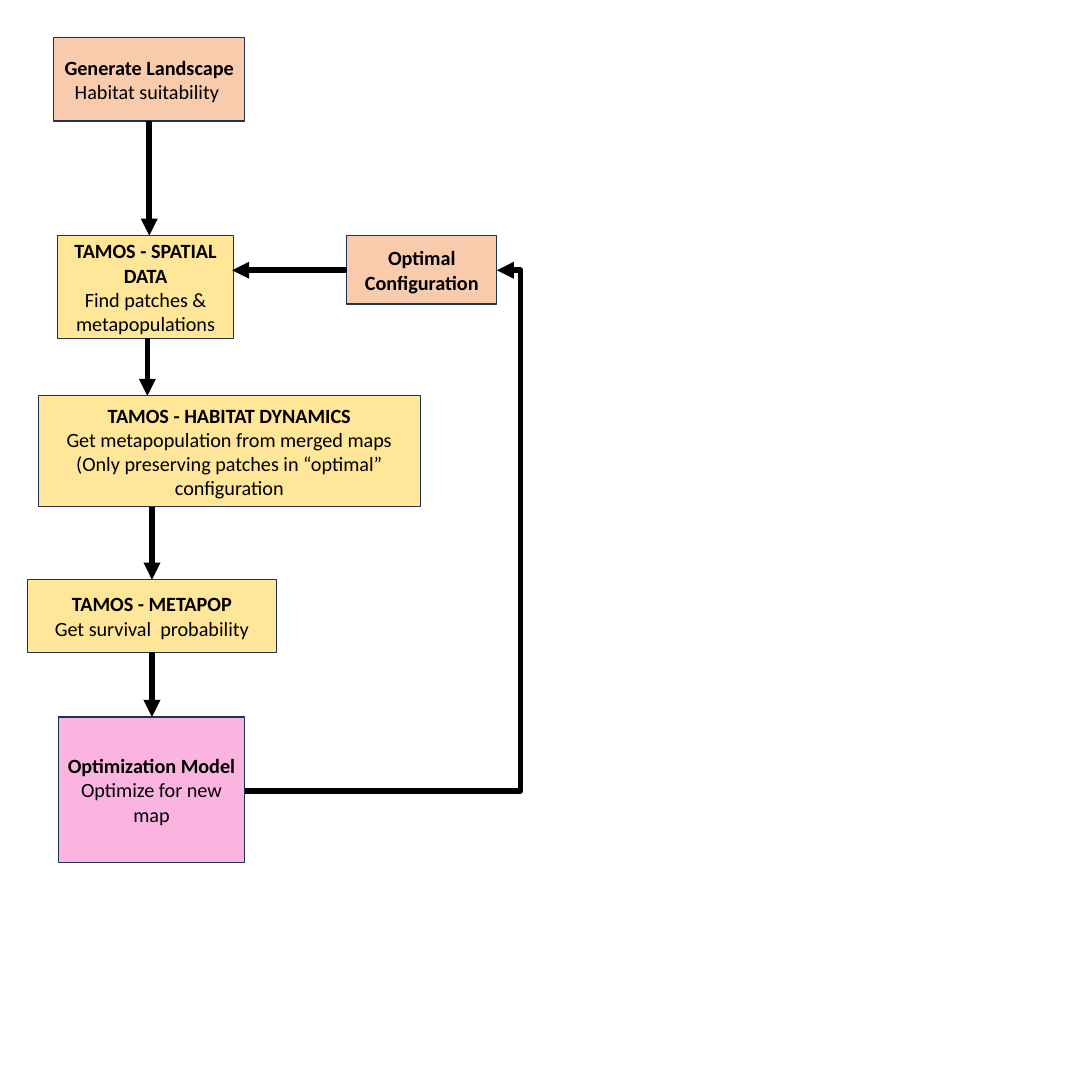
from lxml import etree
from pptx import Presentation
from pptx.dml.color import RGBColor
from pptx.enum.shapes import MSO_CONNECTOR, MSO_SHAPE
from pptx.enum.text import MSO_ANCHOR, PP_ALIGN
from pptx.oxml.ns import qn
from pptx.util import Inches, Pt

COLORS = {"landscape": "F8CBAD", "software": "FFE699", "model": "FBB4DF",
          "border": "1E3256", "ink": "000000"}

deck = Presentation()
deck.slide_width = deck.slide_height = Inches(12)
slide = deck.slides.add_slide(deck.slide_layouts[6])
CELL = deck.slide_width / 12  # grid of 12 columns by 12 rows


def grid(*cells):
    return [round(cell * CELL) for cell in cells]


def add_arrow(kind, start, end):
    arrow = slide.shapes.add_connector(kind, *grid(*start, *end))
    arrow.line.color.rgb = RGBColor.from_string(COLORS["ink"])
    arrow.line.width = Pt(4.5)
    line_xml = arrow.line._get_or_add_ln()
    etree.SubElement(line_xml, qn("a:tailEnd"), type="triangle")
    etree.SubElement(arrow._element.spPr, qn("a:effectLst"))
    return arrow


# Steps: column, row, width, height, colour, bold heading, plain lines
steps = {
    "landscape": (0.59, 0.41, 2.1, 0.92, "landscape", "Generate Landscape",
                  ["Habitat suitability "]),
    "optimal": (3.81, 2.59, 1.65, 0.75, "landscape", "Optimal Configuration", []),
    "spatial": (0.63, 2.59, 1.94, 1.13, "software", "TAMOS - SPATIAL DATA",
                ["Find patches & metapopulations"]),
    "habitat": (0.42, 4.35, 4.2, 1.22, "software", "TAMOS - HABITAT DYNAMICS",
                ["Get metapopulation from merged maps",
                 "(Only preserving patches in “optimal” configuration"]),
    "metapop": (0.3, 6.37, 2.74, 0.8, "software", "TAMOS - METAPOP",
                ["Get survival  probability"]),
    "model": (0.64, 7.88, 2.05, 1.6, "model", "Optimization Model",
              ["Optimize for new map"]),
}
for column, row, width, height, color, heading, details in steps.values():
    step = slide.shapes.add_shape(MSO_SHAPE.RECTANGLE, *grid(column, row, width, height))
    step.shadow.inherit = False
    step.fill.solid()
    step.fill.fore_color.rgb = RGBColor.from_string(COLORS[color])
    step.line.color.rgb = RGBColor.from_string(COLORS["border"])
    step.line.width = Pt(1)
    frame = step.text_frame
    frame.word_wrap = True
    frame.vertical_anchor = MSO_ANCHOR.MIDDLE
    for index, wording in enumerate([heading, *details]):
        paragraph = frame.add_paragraph() if index else frame.paragraphs[0]
        paragraph.alignment = PP_ALIGN.CENTER
        run = paragraph.add_run()
        run.text = wording
        run.font.name = "Calibri"
        run.font.size = Pt(16)
        run.font.bold = index == 0
        run.font.color.rgb = RGBColor.from_string(COLORS["ink"])

# Downward flow, each arrow from the foot of one step to the top of the next
for column, upper, lower in [(1.64, "landscape", "spatial"), (1.62, "spatial", "habitat"),
                             (1.67, "habitat", "metapop"), (1.67, "metapop", "model")]:
    foot = steps[upper][1] + steps[upper][3]
    add_arrow(MSO_CONNECTOR.STRAIGHT, (column, foot), (column, steps[lower][1]))

# Feedback loop from the model through the optimal configuration
loop_row, model_row, turn_column = 2.97, 8.69, 5.72
model_right = steps["model"][0] + steps["model"][2]
optimal_left = steps["optimal"][0]
optimal_right = optimal_left + steps["optimal"][2]
feedback = add_arrow(MSO_CONNECTOR.ELBOW, (model_right, model_row), (optimal_right, loop_row))
turn = (turn_column - model_right) / (optimal_right - model_right)
guides = feedback._element.spPr.find(qn("a:prstGeom")).get_or_add_avLst()
etree.SubElement(guides, qn("a:gd"), name="adj1", fmla=f"val {round(turn * 100000)}")
add_arrow(MSO_CONNECTOR.STRAIGHT, (optimal_left, loop_row), (2.55, loop_row))

deck.save("out.pptx")
